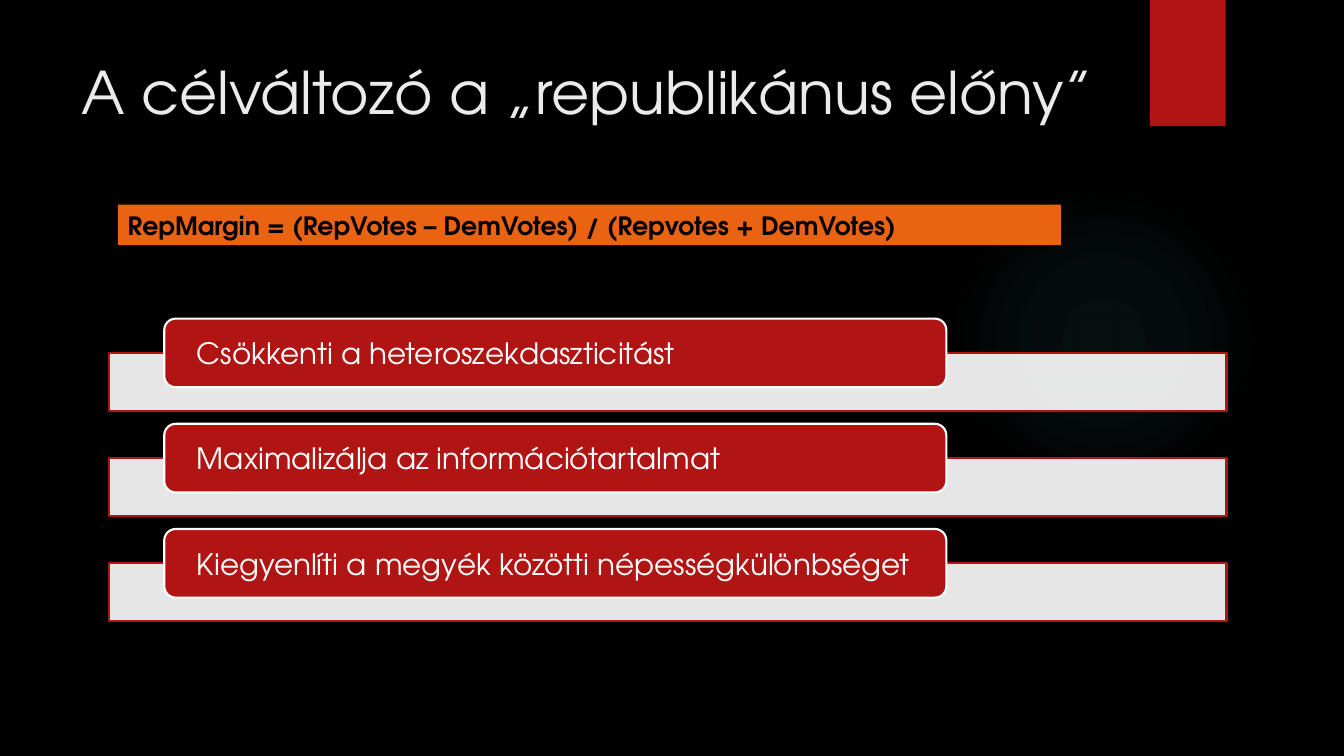
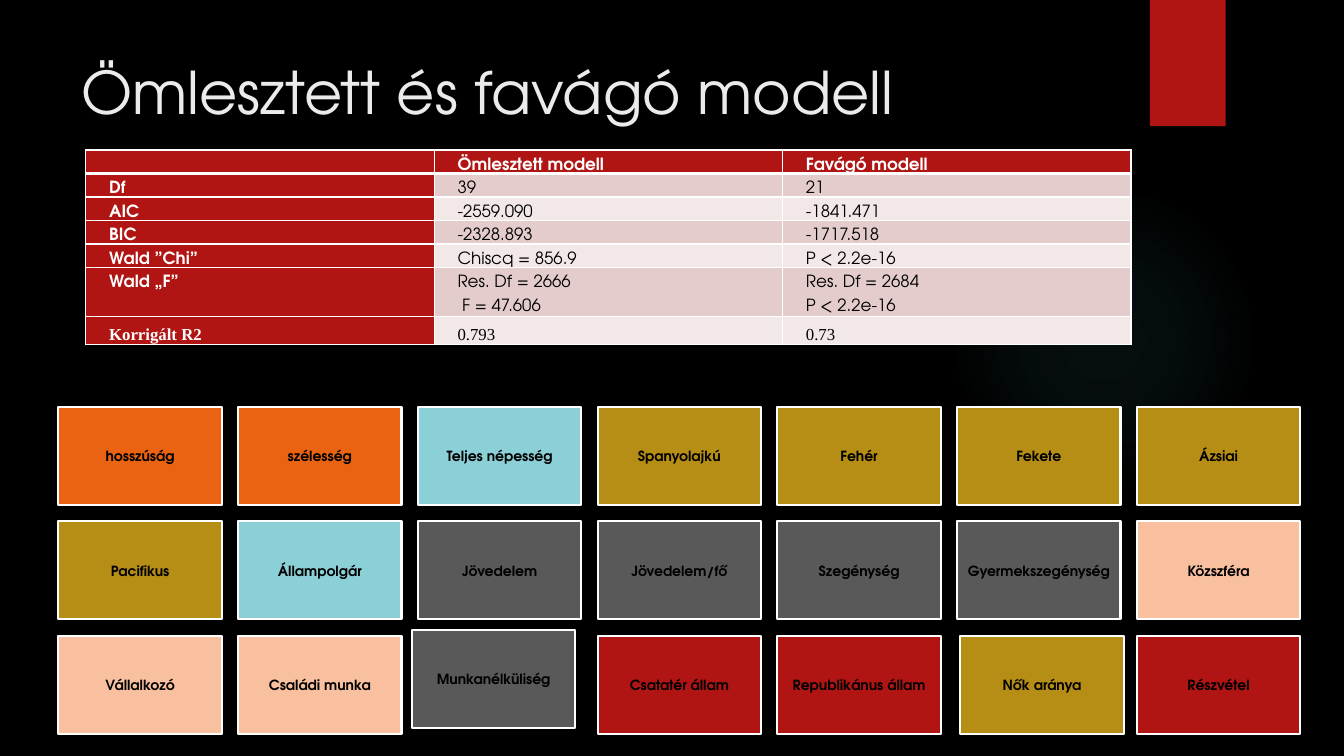
from pptx import Presentation
from pptx.dml.color import RGBColor
from pptx.enum.shapes import MSO_SHAPE
from pptx.enum.text import MSO_ANCHOR, MSO_AUTO_SIZE, PP_ALIGN
from pptx.oxml import parse_xml
from pptx.oxml.ns import nsdecls, qn
from pptx.util import Cm, Pt
from lxml.etree import SubElement

FONT = "TeX Gyre Adventor"
SERIF = "Times New Roman"
BLACK, WHITE, TITLE = "000000", "FFFFFF", "EBEBEB"
RED, ORANGE, TEAL = "B01513", "EA6312", "8AD0D6"
GOLD, GREY, PEACH = "B68E15", "595959", "F8C09F"
BANDS = ("E4CCCC", "F2E8E7")

BENEFITS = (
    "Csökkenti a heteroszekdaszticitást",
    "Maximalizálja az információtartalmat",
    "Kiegyenlíti a megyék közötti népességkülönbséget",
)
MODELS = (
    ("", "Ömlesztett modell", "Favágó modell"),
    ("Df", "39", "21"),
    ("AIC", "-2559.090", "-1841.471"),
    ("BIC", "-2328.893", "-1717.518"),
    ("Wald ”Chi”", "Chiscq = 856.9", "P < 2.2e-16"),
    ("Wald „F”", "Res. Df = 2666\n F = 47.606", "Res. Df = 2684 \nP < 2.2e-16"),
    ("Korrigált R2", "0.793", "0.73"),
)
VARIABLES = (
    (("hosszúság", ORANGE), ("szélesség", ORANGE), ("Teljes népesség", TEAL),
     ("Spanyolajkú", GOLD), ("Fehér", GOLD), ("Fekete", GOLD), ("Ázsiai", GOLD)),
    (("Pacifikus", GOLD), ("Állampolgár", TEAL), ("Jövedelem", GREY),
     ("Jövedelem/fő", GREY), ("Szegénység", GREY), ("Gyermekszegénység", GREY),
     ("Közszféra", PEACH)),
    (("Vállalkozó", PEACH), ("Családi munka", PEACH), ("Munkanélküliség", GREY),
     ("Csatatér állam", RED), ("Republikánus állam", RED), ("Nők aránya", GOLD),
     ("Részvétel", RED)),
)
NUDGES = {"Munkanélküliség": (-0.15, -0.15), "Nők aránya": (0.08, 0)}


def rgb(color):
    """Turn a hex string into a colour."""
    return RGBColor.from_string(color)


def paint(target, color):
    """Fill a shape, cell or background with one colour."""
    target.fill.solid()
    target.fill.fore_color.rgb = rgb(color)


def add_run(p, text, size, color, bold=False, font=FONT):
    """Add one formatted run to a paragraph."""
    r = p.add_run()
    r.text = text
    r.font.name, r.font.size, r.font.bold = font, Pt(size), bold
    r.font.color.rgb = rgb(color)


def add_box(s, kind, x, y, w, h, fill, line=None):
    """Add a flat preset shape with an optional outline."""
    sp = s.shapes.add_shape(kind, Cm(x), Cm(y), Cm(w), Cm(h))
    sp.shadow.inherit = False
    paint(sp, fill)
    if line:
        sp.line.color.rgb = rgb(line)
        sp.line.width = Pt(1.5)
    else:
        sp.line.fill.background()
    return sp


def write(sp, text, size, color, bold=False, align=PP_ALIGN.LEFT, margins=None):
    """Write one line of vertically centred text into a shape."""
    tf = sp.text_frame
    tf.word_wrap = True
    tf.vertical_anchor = MSO_ANCHOR.MIDDLE
    if margins:
        (tf.margin_left, tf.margin_top,
         tf.margin_right, tf.margin_bottom) = map(Cm, margins)
    p = tf.paragraphs[0]
    p.alignment = align
    add_run(p, text, size, color, bold)


def add_glow(s):
    """Add the faint round glow of the background."""
    sp = add_box(s, MSO_SHAPE.OVAL, 23.9, 4.65, 7.82, 7.82, TEAL)
    stops = "".join(
        f'<a:gs pos="{pos}000"><a:srgbClr val="50B9C1">'
        f'<a:alpha val="{alpha}000"/></a:srgbClr></a:gs>'
        for pos, alpha in ((0, 7), (36, 6), (69, 0), (100, 0)))
    grad = parse_xml(
        f'<a:gradFill {nsdecls("a")}><a:gsLst>{stops}</a:gsLst>'
        '<a:path path="circle"><a:fillToRect l="50000" t="50000" '
        'r="50000" b="50000"/></a:path></a:gradFill>')
    pr = sp._element.spPr
    pr.replace(pr.find(qn("a:solidFill")), grad)


def add_slide(prs, title):
    """Add a title-only slide with the shared decoration."""
    s = prs.slides.add_slide(prs.slide_layouts[5])
    add_glow(s)
    add_box(s, MSO_SHAPE.RECTANGLE, 28.98, 0, 1.91, 3.18, RED)
    sp = s.shapes.title
    sp.left, sp.top, sp.width, sp.height = Cm(1.8), Cm(1.27), Cm(26.14), Cm(3.89)
    tf = sp.text_frame
    tf.auto_size = MSO_AUTO_SIZE.NONE
    tf.vertical_anchor = MSO_ANCHOR.TOP
    p = tf.paragraphs[0]
    p.alignment = PP_ALIGN.LEFT
    add_run(p, title, 42, TITLE)
    return s


def add_benefit(s, y, text):
    """Add a translucent bar with a red label on its upper edge."""
    bar = add_box(s, MSO_SHAPE.RECTANGLE, 2.74, y + 0.86, 28.17, 1.47, WHITE, RED)
    color = bar._element.spPr.find(qn("a:solidFill"))[0]
    SubElement(color, qn("a:alpha")).set("val", "90000")
    label = add_box(s, MSO_SHAPE.ROUNDED_RECTANGLE, 4.14, y, 19.71, 1.73, RED, WHITE)
    write(label, text, 21, WHITE, margins=(0.74, 0, 0, 0))


def set_borders(cell, top, bottom):
    """Draw white borders around a cell, widths in points."""
    pr = cell._tc.get_or_add_tcPr()
    for side, width in (("L", 1), ("R", 1), ("T", top), ("B", bottom)):
        pr.append(parse_xml(
            f'<a:ln{side} {nsdecls("a")} w="{Pt(width)}"><a:solidFill>'
            f'<a:srgbClr val="{WHITE}"/></a:solidFill></a:ln{side}>'))


def fill_cell(cell, text, color, bold, font):
    """Write the lines of a table cell."""
    cell.margin_left = cell.margin_right = Cm(0.18)
    cell.margin_top = cell.margin_bottom = 0
    tf = cell.text_frame
    if not text:
        tf.paragraphs[0]._p.get_or_add_endParaRPr().set("sz", "1200")
        return
    for i, line in enumerate(text.split("\n")):
        p = tf.add_paragraph() if i else tf.paragraphs[0]
        p.alignment = PP_ALIGN.JUSTIFY
        p.line_spacing = 1.5
        p._p.get_or_add_pPr().set("indent", str(Cm(0.41)))
        add_run(p, line, 12, color, bold, font)


def add_model_table(s, rows):
    """Add the model comparison with red headings and banded values."""
    heights = [1.24 if "\n" in row[1] else 0.59 for row in rows]
    table = s.shapes.add_table(len(rows), len(rows[0]), Cm(2.16), Cm(3.78),
                               Cm(26.34), Cm(sum(heights))).table
    for col in table.columns:
        col.width = Cm(8.78)
    for i, row in enumerate(rows):
        table.rows[i].height = Cm(heights[i])
        font = SERIF if i == len(rows) - 1 else FONT
        for j, text in enumerate(row):
            cell = table.cell(i, j)
            heading = i == 0 or j == 0
            set_borders(cell, 3 if i == 1 else 1, 3 if i == 0 else 1)
            paint(cell, RED if heading else BANDS[(i - 1) % 2])
            fill_cell(cell, text, WHITE if heading else BLACK, heading, font)


def add_variable_grid(s, rows):
    """Add the coloured tiles of the model variables."""
    for i, row in enumerate(rows):
        for j, (text, color) in enumerate(row):
            dx, dy = NUDGES.get(text, (0, 0))
            tile = add_box(s, MSO_SHAPE.RECTANGLE, 1.47 + 4.53 * j + dx,
                           10.26 + 2.88 * i + dy, 4.12, 2.47, color, WHITE)
            write(tile, text, 10, BLACK, True, PP_ALIGN.CENTER, (0.1,) * 4)


def main():
    """Build and save the presentation."""
    prs = Presentation()
    prs.slide_width, prs.slide_height = Cm(33.87), Cm(19.05)
    paint(prs.slide_master.background, BLACK)

    s = add_slide(prs, "A célváltozó a „republikánus előny”")
    formula = add_box(s, MSO_SHAPE.RECTANGLE, 2.97, 5.16, 23.77, 1.02, ORANGE)
    write(formula, "RepMargin = (RepVotes – DemVotes) / (Repvotes + DemVotes)",
          18, BLACK, True)
    for i, text in enumerate(BENEFITS):
        add_benefit(s, 8.03 + 2.65 * i, text)

    s = add_slide(prs, "Ömlesztett és favágó modell")
    add_model_table(s, MODELS)
    add_variable_grid(s, VARIABLES)
    prs.save("out.pptx")


if __name__ == "__main__":
    main()
